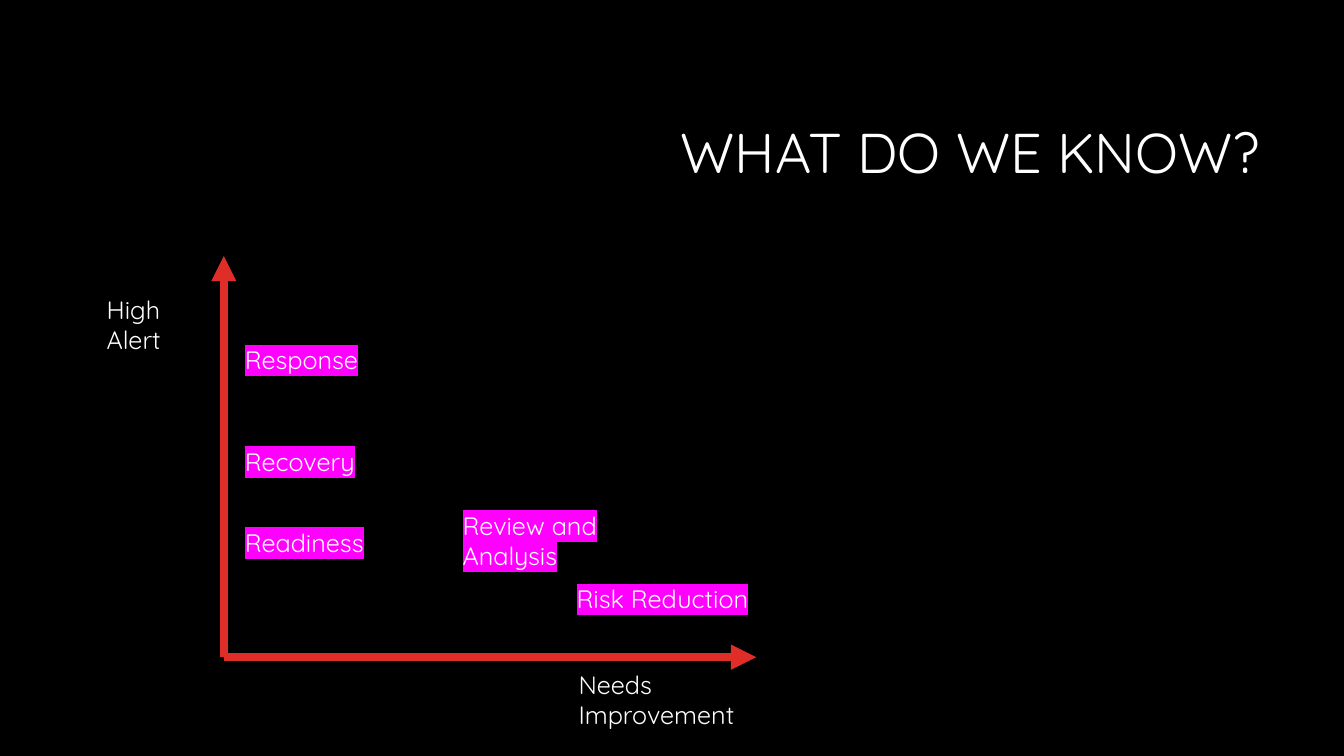
from lxml import etree
from pptx import Presentation
from pptx.dml.color import RGBColor
from pptx.enum.shapes import MSO_CONNECTOR
from pptx.enum.text import MSO_ANCHOR, PP_ALIGN
from pptx.oxml.ns import qn
from pptx.util import Inches, Pt

STRAIGHT = MSO_CONNECTOR.STRAIGHT
MIDDLE, TOP = MSO_ANCHOR.MIDDLE, MSO_ANCHOR.TOP
LEFT, RIGHT = PP_ALIGN.LEFT, PP_ALIGN.RIGHT

FONT = "Quicksand"
BLACK, WHITE, RED, MAGENTA = "000000", "FFFFFF", "DF2E28", "FF00FF"
ONE_LINE, TWO_LINES = 0.4, 0.71

TITLE = ("WHAT DO WE KNOW?", (3.17, 0.84, 9.42, 1.41))
ORIGIN = (2.22, 6.52)
AXIS_ENDS = [(2.22, 2.54), (7.5, 6.52)]
AXIS_LABELS = [
    ("High Alert", (0.96, 2.87, 1.24, TWO_LINES)),
    ("Needs Improvement", (5.64, 6.59, 2.26, TWO_LINES)),
]
PHASES = [
    ("Readiness", (2.33, 5.18, 1.67, ONE_LINE)),
    ("Recovery", (2.33, 4.38, 1.67, ONE_LINE)),
    ("Review and Analysis", (4.49, 5.01, 1.67, TWO_LINES)),
    ("Response", (2.33, 3.37, 1.67, ONE_LINE)),
    ("Risk Reduction", (5.62, 5.74, 2.26, ONE_LINE)),
]


def rgb(color):
    return RGBColor.from_string(color)


def add_text(s, text, box, size=18, align=LEFT, anchor=TOP):
    tf = s.shapes.add_textbox(*map(Inches, box)).text_frame
    tf.word_wrap = True
    tf.vertical_anchor = anchor
    p = tf.paragraphs[0]
    p.alignment = align
    p.font.name = FONT
    p.font.size = Pt(size)
    p.font.color.rgb = rgb(WHITE)
    r = p.add_run()
    r.text = text
    return p, r


def highlight(r, color):
    mark = etree.SubElement(r.font._element, qn("a:highlight"))
    etree.SubElement(mark, qn("a:srgbClr"), val=color)


def add_axis(s, start, end):
    axis = s.shapes.add_connector(STRAIGHT, *map(Inches, start + end))
    axis.line.color.rgb = rgb(RED)
    axis.line.width = Pt(6)
    etree.SubElement(axis.line._get_or_add_ln(), qn("a:tailEnd"), type="triangle")
    etree.SubElement(axis._element.spPr, qn("a:effectLst"))


def main():
    prs = Presentation()
    prs.slide_width, prs.slide_height = Inches(13.33), Inches(7.5)
    s = prs.slides.add_slide(prs.slide_layouts[6])
    s.background.fill.solid()
    s.background.fill.fore_color.rgb = rgb(BLACK)

    p, _ = add_text(s, *TITLE, size=40, align=RIGHT, anchor=MIDDLE)
    p.line_spacing = 0.9
    for end in AXIS_ENDS:
        add_axis(s, ORIGIN, end)
    for text, box in PHASES:
        _, r = add_text(s, text, box)
        highlight(r, MAGENTA)
    for text, box in AXIS_LABELS:
        add_text(s, text, box)

    prs.save("out.pptx")


if __name__ == "__main__":
    main()
